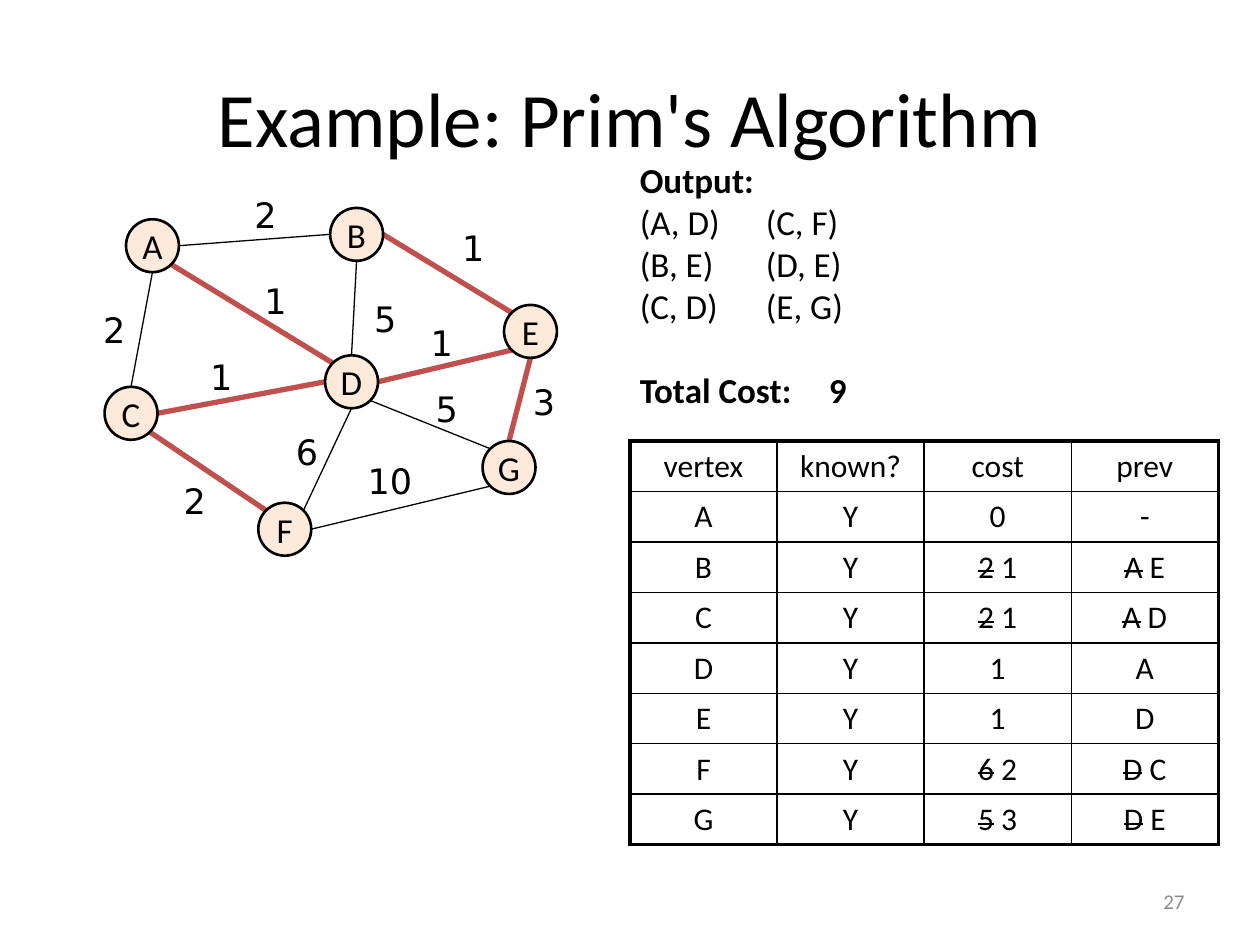
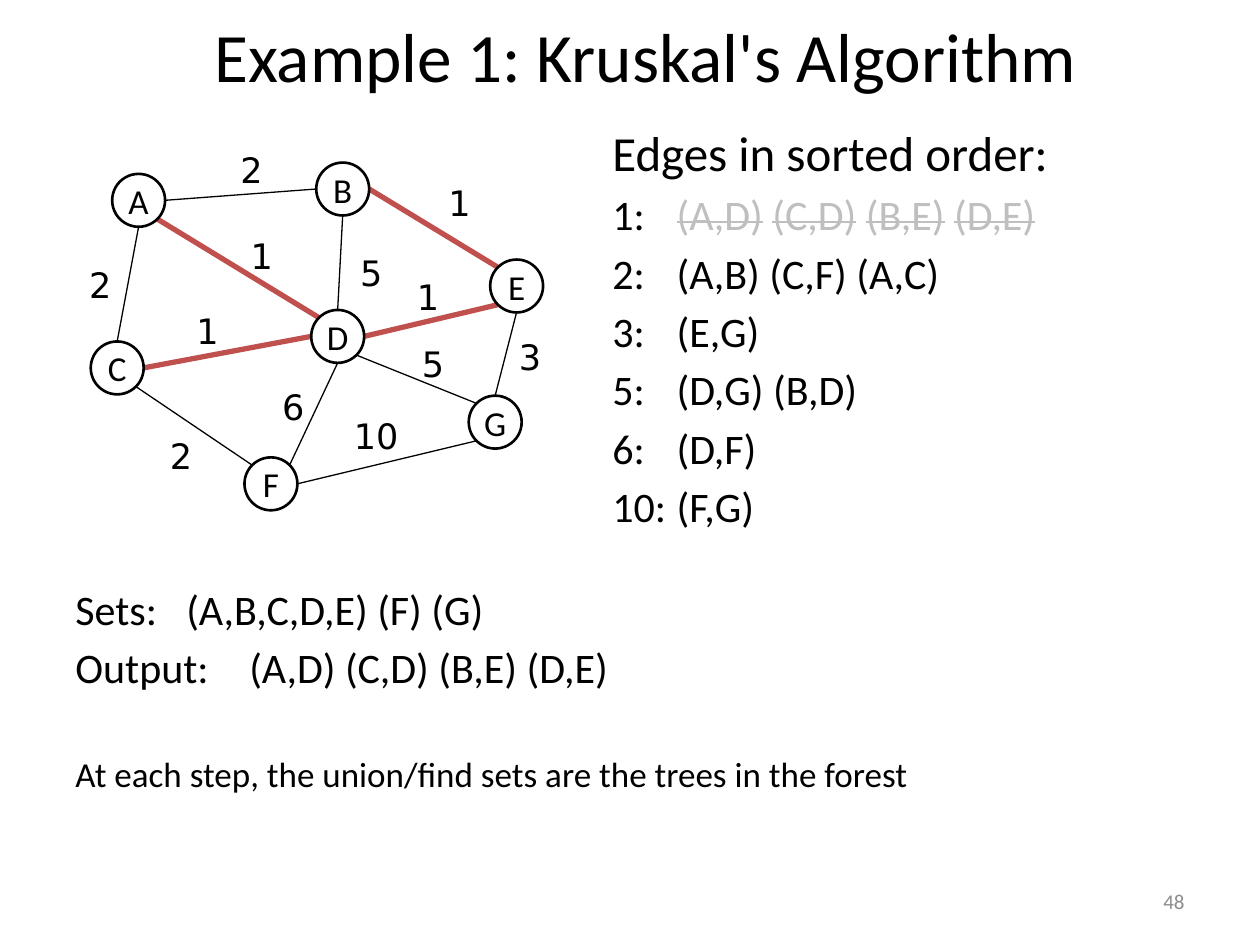
from dataclasses import dataclass
from math import cos, radians, sin

from lxml import etree
from pptx import Presentation
from pptx.dml.color import RGBColor
from pptx.enum.shapes import MSO_CONNECTOR, MSO_SHAPE
from pptx.enum.text import MSO_ANCHOR, MSO_AUTO_SIZE, PP_ALIGN
from pptx.oxml.ns import qn
from pptx.util import Inches, Pt

LEFT, CENTER, RIGHT = PP_ALIGN.LEFT, PP_ALIGN.CENTER, PP_ALIGN.RIGHT
MIDDLE = MSO_ANCHOR.MIDDLE
NO_AUTOFIT = MSO_AUTO_SIZE.NONE
OVAL = MSO_SHAPE.OVAL
STRAIGHT = MSO_CONNECTOR.STRAIGHT

TITLE_AND_CONTENT, TITLE_ONLY = 1, 5  # layout indexes

NODE_SIZE = 0.42
# Top left corner of each node, from the corner of the graph
NODES = {
    "A": (0.17, 0.09), "B": (1.79, 0), "C": (0, 1.42), "D": (1.75, 1.17),
    "E": (3.17, 0.77), "F": (1.22, 2.34), "G": (3, 1.85),
}
# Clockwise degrees on the screen, from the right-hand side
SITES = {"E": 0, "SE": 45, "S": 90, "SW": 135, "W": 180, "NW": 225, "N": 270, "NE": 315}
# Edge, site on each of its nodes, weight, corner of the weight label
EDGES = [
    ("AB", "E", "W", 2, (1.09, -0.16)),
    ("AC", "S", "N", 2, (-0.11, 0.75)),
    ("AD", "SE", "NW", 1, (1.17, 0.52)),
    ("BD", "S", "N", 5, (2.04, 0.66)),
    ("BE", "E", "NW", 1, (2.74, 0.1)),
    ("CD", "E", "W", 1, (0.74, 1.12)),
    ("CF", "SE", "NW", 2, (0.53, 2.11)),
    ("DE", "E", "SW", 1, (2.49, 0.85)),
    ("DF", "S", "NE", 6, (1.42, 1.72)),
    ("DG", "SE", "NW", 5, (2.53, 1.38)),
    ("EG", "S", "N", 3, (3.3, 1.32)),
    ("FG", "E", "SW", 10, (1.99, 1.95)),
]

PRIM_TABLE = [
    ("vertex", "known?", "cost", "prev"),
    ("A", "Y", "0", "-"),
    ("B", "Y", "~2~ 1", "~A~ E"),
    ("C", "Y", "~2~ 1", "~A~ D"),
    ("D", "Y", "1", "A"),
    ("E", "Y", "1", "D"),
    ("F", "Y", "~6~ 2", "~D~ C"),
    ("G", "Y", "~5~ 3", "~D~ E"),
]
SORTED_EDGES = [
    "1:\t~(A,D)~ ~(C,D)~ ~(B,E)~ ~(D,E)~",
    "2:\t(A,B) (C,F) (A,C)",
    "3:\t(E,G)",
    "5:\t(D,G) (B,D)",
    "6:\t(D,F)",
    "10:\t(F,G)",
]


@dataclass(frozen=True)
class Theme:
    font: str = "Calibri"
    weight_font: str = "DejaVu Sans"
    ink: str = "000000"
    tree: str = "C0504D"
    node: str = "FDEADA"
    used: str = "BFBFBF"
    number: str = "8C8C8C"
    title_size: float = 44
    small_title_size: float = 39.6
    heading_size: float = 28
    list_size: float = 24
    text_size: float = 20
    cell_size: float = 18
    number_size: float = 12
    list_gap: float = 4.5
    thin: float = 0.75
    grid: float = 1
    outline: float = 1.5
    frame: float = 2.25
    thick: float = 3


def rgb(color):
    return RGBColor.from_string(color)


class Deck:
    def __init__(self, theme):
        self.theme = theme
        self.presentation = Presentation()
        self.presentation.slide_width = Inches(10)
        self.presentation.slide_height = Inches(7.5)
        self.slide = None

    def new_slide(self, layout, title, number, title_box, title_size):
        layouts = self.presentation.slide_layouts
        self.slide = self.presentation.slides.add_slide(layouts[layout])
        shape = self.slide.shapes.title
        self.place(shape, title_box)
        shape.text_frame.vertical_anchor = MIDDLE
        self.fill_paragraph(shape.text_frame.paragraphs[0], title, title_size, align=CENTER)
        frame = self.text_box((7.17, 6.95, 2.33, 0.4))
        frame.vertical_anchor = MIDDLE
        self.fill_paragraph(frame.paragraphs[0], str(number), self.theme.number_size,
                            color=self.theme.number, align=RIGHT)

    def place(self, shape, box):
        shape.left, shape.top, shape.width, shape.height = map(Inches, box)
        shape.text_frame.auto_size = NO_AUTOFIT

    def fill_paragraph(self, paragraph, text, size, color=None, font=None, bold=False,
                       align=LEFT, indent=0, tab=None, before=0, struck_color=None):
        """Text between tildes is struck through."""
        paragraph.alignment = align
        paragraph.space_before = Pt(before)
        properties = paragraph._p.get_or_add_pPr()
        properties.set("marL", str(Inches(indent)))
        properties.set("indent", str(-Inches(indent)))
        etree.SubElement(properties, qn("a:buNone"))
        if tab:
            tabs = etree.SubElement(properties, qn("a:tabLst"))
            etree.SubElement(tabs, qn("a:tab"), pos=str(Inches(tab)), algn="l")
        paragraph.font.name = font or self.theme.font
        paragraph.font.size = Pt(size)
        paragraph.font.bold = bold
        paragraph.font.color.rgb = rgb(color or self.theme.ink)
        for index, part in enumerate(text.split("~")):
            if not part:
                continue
            run = paragraph.add_run()
            run.text = part
            if index % 2:
                run._r.get_or_add_rPr().set("strike", "sngStrike")
                if struck_color:
                    run.font.color.rgb = rgb(struck_color)

    def add_lines(self, frame, lines, size, **style):
        """Append lines, the first into the empty paragraph of a new frame."""
        for line in lines:
            first = frame.paragraphs[0]
            fresh = not first.runs
            paragraph = first if fresh else frame.add_paragraph()
            line_style = {**style, "before": 0} if fresh else style
            self.fill_paragraph(paragraph, line, size, **line_style)

    def text_box(self, box, wrap=True):
        frame = self.slide.shapes.add_textbox(*map(Inches, box)).text_frame
        frame.word_wrap = wrap
        return frame

    def body(self, box):
        shape = self.slide.placeholders[1]
        self.place(shape, box)
        return shape.text_frame

    def node(self, name, left, top, fill):
        shape = self.slide.shapes.add_shape(
            OVAL, *map(Inches, (left, top, NODE_SIZE, NODE_SIZE)))
        shape.shadow.inherit = False
        if fill:
            shape.fill.solid()
            shape.fill.fore_color.rgb = rgb(fill)
        else:
            shape.fill.background()
        shape.line.color.rgb = rgb(self.theme.ink)
        shape.line.width = Pt(self.theme.outline)
        shape.text_frame.word_wrap = False
        shape.text_frame.vertical_anchor = MIDDLE
        self.fill_paragraph(shape.text_frame.paragraphs[0], name,
                            self.theme.text_size, align=CENTER)

    def edge(self, start, end, in_tree):
        connector = self.slide.shapes.add_connector(
            STRAIGHT, *map(Inches, (*start, *end)))
        connector.line.color.rgb = rgb(self.theme.tree if in_tree else self.theme.ink)
        connector.line.width = Pt(self.theme.thick if in_tree else self.theme.thin)
        etree.SubElement(connector._element.spPr, qn("a:effectLst"))

    def graph(self, left, top, tree, fill=None):
        def site(name, side):
            x, y = NODES[name]
            angle = radians(SITES[side])
            radius = NODE_SIZE / 2
            return (left + x + radius * (1 + cos(angle)),
                    top + y + radius * (1 + sin(angle)))

        for (start, end), start_side, end_side, weight, (x, y) in EDGES:
            self.edge(site(start, start_side), site(end, end_side), start + end in tree)
            width = 0.38 if weight < 10 else 0.56
            frame = self.text_box((left + x, top + y, width, 0.44), wrap=False)
            self.fill_paragraph(frame.paragraphs[0], str(weight), self.theme.text_size,
                                font=self.theme.weight_font)
        for name, (x, y) in NODES.items():
            self.node(name, left + x, top + y, fill)

    def table(self, rows, box):
        row_count, column_count = len(rows), len(rows[0])
        table = self.slide.shapes.add_table(
            row_count, column_count, *map(Inches, box)).table
        table.first_row = table.horz_banding = False
        for i, row in enumerate(rows):
            for j, text in enumerate(row):
                cell = table.cell(i, j)
                self.borders(cell, lnL=j == 0, lnR=j == column_count - 1,
                             lnT=i == 0, lnB=i == row_count - 1)
                cell.fill.background()
                self.fill_paragraph(cell.text_frame.paragraphs[0], text,
                                    self.theme.cell_size, align=CENTER)

    def borders(self, cell, **outer_sides):
        properties = cell._tc.get_or_add_tcPr()
        for side, outer in outer_sides.items():
            width = Pt(self.theme.frame if outer else self.theme.grid)
            line = etree.SubElement(properties, qn(f"a:{side}"), w=str(width))
            fill = etree.SubElement(line, qn("a:solidFill"))
            etree.SubElement(fill, qn("a:srgbClr"), val=self.theme.ink)


def prim_slide(deck):
    theme = deck.theme
    deck.new_slide(TITLE_ONLY, "Example: Prim's Algorithm", 27,
                   (0.5, 0.3, 9, 1.25), theme.title_size)
    deck.graph(0.83, 1.65, {"AD", "BE", "CD", "CF", "DE", "EG"}, theme.node)
    deck.table(PRIM_TABLE, (5, 3.5, 4.67, 3.2))
    output = deck.text_box((4.98, 1.21, 4.6, 2.12))
    pairs = ["(A, D)\t(C, F)", "(B, E)\t(D, E)", "(C, D)\t(E, G)"]
    deck.add_lines(output, ["Output:"], theme.text_size, bold=True)
    deck.add_lines(output, pairs, theme.text_size, tab=2)
    deck.add_lines(output, ["Total Cost:\t9"], theme.text_size, bold=True, tab=2, before=24)


def kruskal_slide(deck):
    theme = deck.theme
    deck.new_slide(TITLE_AND_CONTENT, "Example 1: Kruskal's Algorithm", 48,
                   (0.5, 0.17, 9.25, 0.53), theme.small_title_size)
    edges = deck.body((4.76, 0.92, 5.12, 3.67))
    deck.add_lines(edges, ["Edges in sorted order:"], theme.heading_size, indent=0.38)
    deck.add_lines(edges, SORTED_EDGES, theme.list_size, indent=0.51, tab=0.69,
                   before=theme.list_gap, struck_color=theme.used)
    deck.graph(0.72, 1.29, {"AD", "BE", "CD", "DE"})
    sets = ["Sets:\t(A,B,C,D,E) (F) (G)", "Output:\t(A,D) (C,D) (B,E) (D,E)"]
    deck.add_lines(deck.text_box((0.5, 4.58, 7.75, 0.99)), sets, theme.list_size,
                   indent=0.38, tab=1.44, before=theme.list_gap)
    deck.add_lines(deck.text_box((0.5, 5.92, 8.52, 0.44)),
                   ["At each step, the union/find sets are the trees in the forest"],
                   theme.text_size)


def main():
    deck = Deck(Theme())
    prim_slide(deck)
    kruskal_slide(deck)
    deck.presentation.save("out.pptx")


if __name__ == "__main__":
    main()
